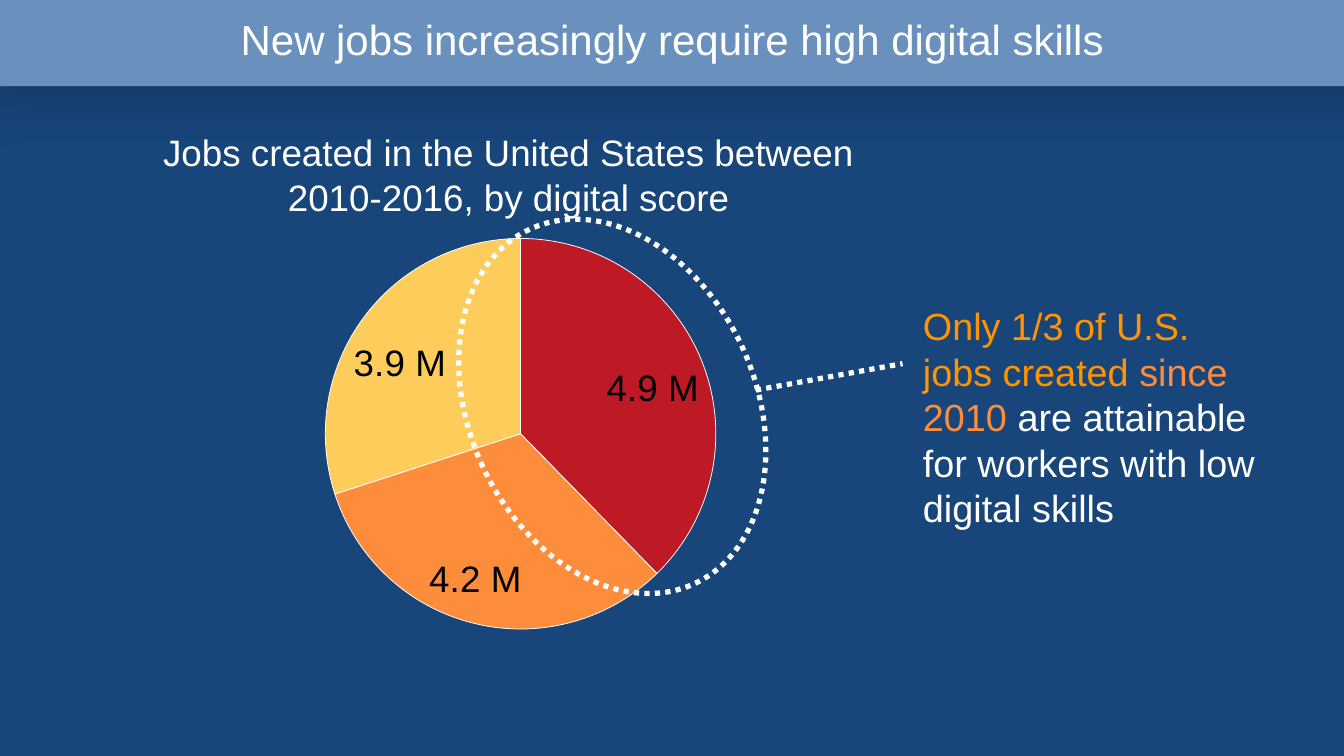
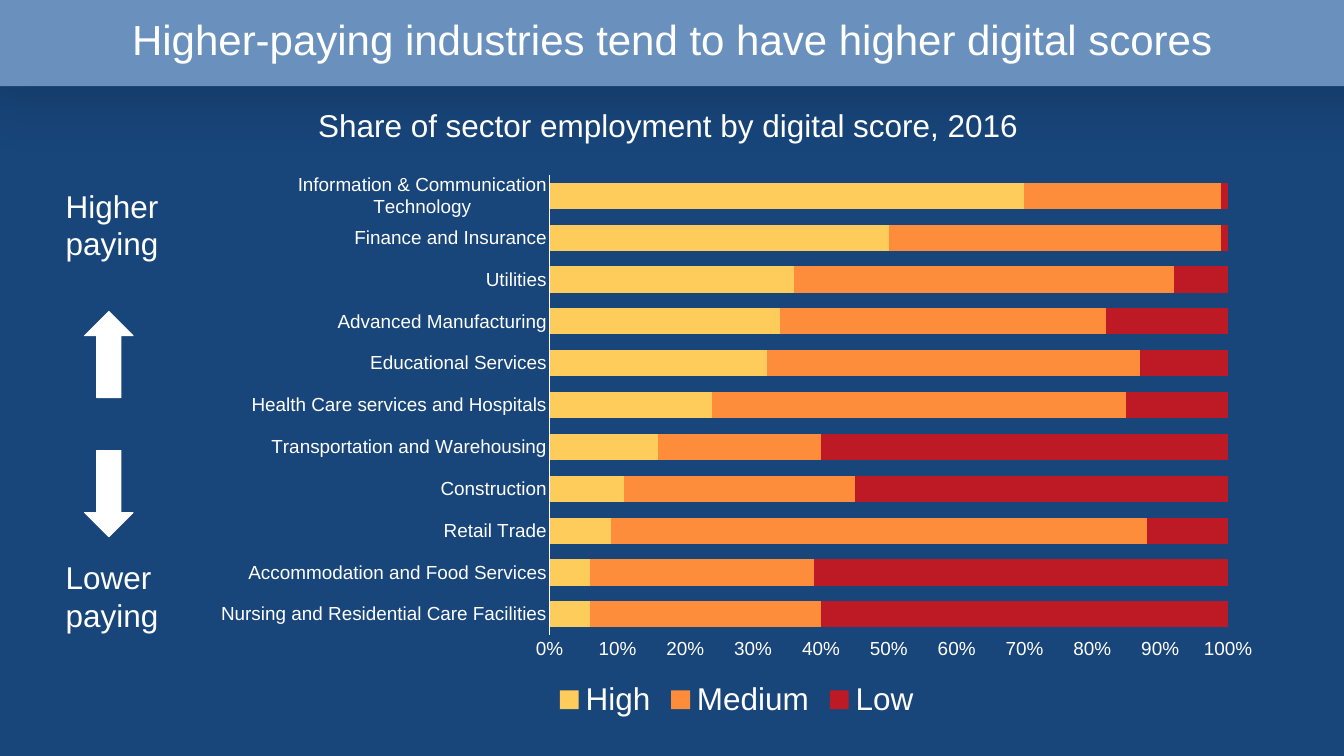
"""Build two slides on digital skills in new jobs and in industries."""
from dataclasses import dataclass

from lxml.etree import SubElement
from pptx import Presentation
from pptx.chart.data import CategoryChartData
from pptx.dml.color import RGBColor
from pptx.enum.chart import XL_CHART_TYPE as ChartType
from pptx.enum.chart import XL_LABEL_POSITION as LabelPosition
from pptx.enum.chart import XL_LEGEND_POSITION as LegendPosition
from pptx.enum.chart import XL_TICK_MARK as TickMark
from pptx.enum.dml import MSO_LINE as Dash
from pptx.enum.shapes import MSO_CONNECTOR as Connector
from pptx.enum.shapes import MSO_SHAPE as Shape
from pptx.enum.text import MSO_ANCHOR as Anchor
from pptx.enum.text import MSO_AUTO_SIZE as AutoSize
from pptx.enum.text import PP_ALIGN as Align
from pptx.oxml.ns import qn
from pptx.util import Inches, Pt


@dataclass(frozen=True)
class Theme:
    font: str = "Arial"
    navy: str = "18457A"
    band: str = "6A91BE"
    white: str = "FFFFFF"
    black: str = "000000"
    amber: str = "FF9300"
    high: str = "FECC5B"
    medium: str = "FD8D3B"
    low: str = "BD1A26"
    title: int = 40
    callout: int = 36
    pie: int = 35
    body: int = 30
    axis: int = 18
    dotted: int = 5


class Deck:
    def __init__(self, theme, width, height):
        self.theme = theme
        self.width = width
        self.presentation = Presentation()
        self.presentation.slide_width = Inches(width)
        self.presentation.slide_height = Inches(height)
        self.slide = None

    def new_slide(self):
        self.slide = self.presentation.slides.add_slide(self.presentation.slide_layouts[6])
        self.paint(self.slide.background.fill, self.theme.navy)

    def paint(self, fill, color):
        fill.solid()
        fill.fore_color.rgb = RGBColor.from_string(color)

    def style(self, font, size, color):
        font.name = self.theme.font
        font.size = Pt(size)
        font.color.rgb = RGBColor.from_string(color)

    def text(self, box, runs, size, align=Align.LEFT, anchor=Anchor.TOP,
             inset=None, grow=True, wrap=True):
        frame = self.slide.shapes.add_textbox(*map(Inches, box)).text_frame
        frame.word_wrap = wrap
        frame.auto_size = AutoSize.SHAPE_TO_FIT_TEXT if grow else AutoSize.NONE
        frame.vertical_anchor = anchor
        if inset is not None:
            frame.margin_left = frame.margin_right = Inches(inset)
            frame.margin_top = frame.margin_bottom = Inches(inset)
        paragraph = frame.paragraphs[0]
        paragraph.alignment = align
        for words, color in runs:
            run = paragraph.add_run()
            run.text = words
            self.style(run.font, size, color)

    def shape(self, kind, box, fill=None):
        shape = self.slide.shapes.add_shape(kind, *map(Inches, box))
        shape.shadow.inherit = False
        if fill:
            self.paint(shape.fill, fill)
        else:
            shape.fill.background()
        return shape

    def outline(self, line, width, dash=None):
        self.paint(line.fill, self.theme.white)
        line.width = Pt(width)
        if dash:
            line.dash_style = dash

    def header(self, title):
        band = self.shape(Shape.RECTANGLE, (-0.21, -0.11, 18.62, 1.25), self.theme.band)
        band.line.fill.background()
        effects = band._element.spPr.find(qn("a:effectLst"))
        shadow = SubElement(effects, qn("a:outerShdw"), blurRad=str(Pt(52)),
                            dist=str(Pt(14.7)), dir="5400000", rotWithShape="0")
        color = SubElement(shadow, qn("a:srgbClr"), val=self.theme.black)
        SubElement(color, qn("a:alpha"), val="14000")
        self.text((0, 0.14, self.width, 0.75), [(title, self.theme.white)], self.theme.title,
                  Align.CENTER, Anchor.MIDDLE, inset=0.04)

    def dotted_ellipse(self, box, rotation):
        ellipse = self.shape(Shape.OVAL, box)
        ellipse.rotation = rotation
        self.outline(ellipse.line, self.theme.dotted, Dash.ROUND_DOT)

    def dotted_line(self, start, end):
        leader = self.slide.shapes.add_connector(
            Connector.STRAIGHT, *map(Inches, (*start, *end)))
        self.outline(leader.line, self.theme.dotted, Dash.ROUND_DOT)
        SubElement(leader._element.spPr, qn("a:effectLst"))

    def arrow(self, kind, box):
        self.outline(self.shape(kind, box, self.theme.white).line, 1)

    def chart(self, kind, box, categories, series, number_format):
        data = CategoryChartData(number_format=number_format)
        data.categories = categories
        for name, values in series:
            data.add_series(name, values)
        chart = self.slide.shapes.add_chart(kind, *map(Inches, box), data).chart
        chart.has_title = False
        chart.has_legend = False
        self.style(chart.font, self.theme.axis, self.theme.white)
        return chart

    def pie(self, box, plot_area, slices, number_format):
        names, values, colors = zip(*slices)
        chart = self.chart(ChartType.PIE, box, names, [("Jobs created", values)], number_format)
        plot = chart.plots[0]
        plot.vary_by_categories = False
        for index, color in enumerate(colors):
            wedge = plot.series[0].points[index].format
            self.paint(wedge.fill, color)
            self.outline(wedge.line, 0.75)
        plot.has_data_labels = True
        labels = plot.data_labels
        labels.show_value = True
        labels.show_percentage = False
        labels.number_format = number_format
        labels.number_format_is_linked = False
        labels.position = LabelPosition.BEST_FIT
        self.style(labels.font, self.theme.pie, self.theme.black)
        self.place_plot(chart, plot_area)

    def place_plot(self, chart, plot_area):
        area = chart._chartSpace.find(".//" + qn("c:plotArea"))
        for old in area.findall(qn("c:layout")):
            area.remove(old)
        layout = SubElement(area, qn("c:layout"))
        area.insert(0, layout)
        manual = SubElement(layout, qn("c:manualLayout"))
        settings = [("layoutTarget", "inner"), ("xMode", "edge"), ("yMode", "edge")]
        for tag, value in settings + list(zip("xywh", plot_area)):
            SubElement(manual, qn(f"c:{tag}"), val=str(value))

    def stacked_bars(self, box, categories, series):
        chart = self.chart(ChartType.BAR_STACKED, box, categories,
                           [(name, values) for name, values, _ in series], "0%")
        plot = chart.plots[0]
        plot.gap_width = 60
        plot.overlap = 100
        plot.vary_by_categories = False
        for bars, (_, _, color) in zip(plot.series, series):
            self.paint(bars.format.fill, color)
        for axis in (chart.category_axis, chart.value_axis):
            axis.major_tick_mark = axis.minor_tick_mark = TickMark.NONE
            axis.has_major_gridlines = False
            self.style(axis.tick_labels.font, self.theme.axis, self.theme.white)
        self.outline(chart.category_axis.format.line, 0.75)
        shares = chart.value_axis
        shares.minimum_scale, shares.maximum_scale, shares.major_unit = 0, 1, 0.1
        shares.tick_labels.number_format = "0%"
        shares.tick_labels.number_format_is_linked = False
        shares.format.line.fill.background()
        chart.has_legend = True
        chart.legend.position = LegendPosition.BOTTOM
        chart.legend.include_in_layout = False
        self.style(chart.legend.font, self.theme.body, self.theme.white)


def build_new_jobs(deck):
    theme = deck.theme
    deck.new_slide()
    deck.text((12.15, 3.94, 4.51, 3.14), [
        ("Only 1/3 of U.S. jobs created ", theme.amber),
        ("since 2010 ", theme.medium),
        ("are attainable for workers with low digital skills", theme.white),
    ], theme.callout, anchor=Anchor.MIDDLE, inset=0.06)
    deck.pie((1.67, 2.38, 10.13, 7.72), (0.26, 0.1, 0.51, 0.67), [
        ("Low", 4900000, theme.low),
        ("Medium", 4200000, theme.medium),
        ("High", 3900000, theme.high),
    ], '0.0,,\\ "M"')
    deck.text((1.75, 1.81, 9.96, 0.99),
              [("Jobs created in the United States between 2010-2016, by digital score",
                theme.white)],
              theme.pie, Align.CENTER, Anchor.MIDDLE, grow=False)
    deck.header("New jobs increasingly require high digital skills")
    deck.dotted_ellipse((6.21, 2.79, 3.78, 5.17), 335)
    deck.dotted_line((10, 5.16), (11.94, 4.81))


def build_industries(deck):
    theme = deck.theme
    sectors = [
        ("Nursing and Residential Care Facilities", 0.06, 0.34, 0.6),
        ("Accommodation and Food Services", 0.06, 0.33, 0.61),
        ("Retail Trade", 0.09, 0.79, 0.12),
        ("Construction", 0.11, 0.34, 0.55),
        ("Transportation and Warehousing", 0.16, 0.24, 0.6),
        ("Health Care services and Hospitals", 0.24, 0.61, 0.15),
        ("Educational Services", 0.32, 0.55, 0.13),
        ("Advanced Manufacturing", 0.34, 0.48, 0.18),
        ("Utilities", 0.36, 0.56, 0.08),
        ("Finance and Insurance", 0.5, 0.49, 0.01),
        ("Information & Communication Technology", 0.7, 0.29, 0.01),
    ]
    names, high, medium, low = zip(*sectors)
    deck.new_slide()
    deck.stacked_bars((2.64, 2.16, 14.21, 7.41), names, [
        ("High", high, theme.high),
        ("Medium", medium, theme.medium),
        ("Low", low, theme.low),
    ])
    deck.header("Higher-paying industries tend to have higher digital scores")
    deck.text((4.11, 1.35, 9.54, 0.61),
              [("Share of sector employment by digital score, 2016", theme.white)],
              theme.body, wrap=False)
    for pay, text_top, arrow, arrow_top in (
            ("Higher paying", 2.42, Shape.UP_ARROW, 4.12),
            ("Lower paying", 7.33, Shape.DOWN_ARROW, 5.96)):
        deck.text((0.77, text_top, 2.1, 1.11), [(pay, theme.white)], theme.body)
        deck.arrow(arrow, (1.12, arrow_top, 0.64, 1.14))


def main():
    deck = Deck(Theme(), 17.78, 10)
    build_new_jobs(deck)
    build_industries(deck)
    deck.presentation.save("out.pptx")


if __name__ == "__main__":
    main()
